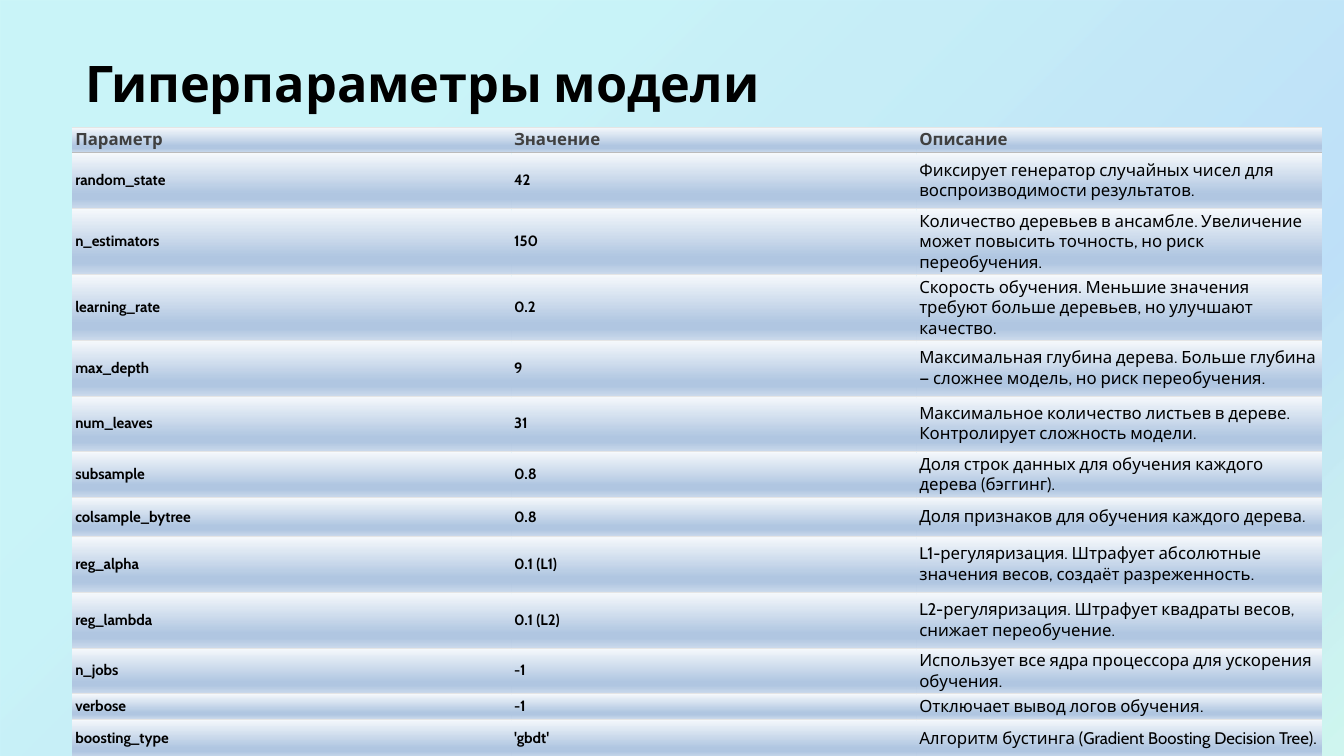
from dataclasses import dataclass

from lxml.etree import SubElement
from pptx import Presentation
from pptx.dml.color import RGBColor
from pptx.enum.shapes import MSO_SHAPE
from pptx.enum.text import MSO_ANCHOR, MSO_AUTO_SIZE
from pptx.oxml.ns import qn
from pptx.util import Inches, Pt


@dataclass(frozen=True)
class Theme:
    font: str = "Cabin"
    title_size: int = 54
    text_size: int = 18
    value_size: int = 16
    ink: str = "000000"
    header_ink: str = "404040"
    header_line: str = "BBBBBB"
    row_line: str = "E5E5E5"
    line_width: float = 0.48
    # Gradient stops: position %, colour, opacity %
    backdrop: tuple = ((25, "21D6E0", 23), (75, "0087E6", 25),
                       (100, "03D4A8", 18), (100, "005CBF", 26))
    cell: tuple = ((0, "F6F9FC", 100), (74, "B0C6E1", 100),
                   (83, "B0C6E1", 100), (100, "CAD9EB", 100))


THEME = Theme()
SLIDE_W, SLIDE_H = 20, 11.25
LEFT, CONTENT_W = 1.07, 18.6
COLUMN_WIDTHS = (6.54, 6.03, 6.03)
LOW, MID, HIGH = 0.34, 0.58, 0.83

HEADER = ("Параметр", "Значение", "Описание")
# Row height, parameter, value, description
PARAMETERS = [
    (HIGH, "random_state", "42",
     "Фиксирует генератор случайных чисел для воспроизводимости результатов."),
    (HIGH, "n_estimators", "150",
     "Количество деревьев в ансамбле. Увеличение может повысить точность, но риск переобучения."),
    (HIGH, "learning_rate", "0.2",
     "Скорость обучения. Меньшие значения требуют больше деревьев, но улучшают качество."),
    (HIGH, "max_depth", "9",
     "Максимальная глубина дерева. Больше глубина — сложнее модель, но риск переобучения."),
    (HIGH, "num_leaves", "31",
     "Максимальное количество листьев в дереве. Контролирует сложность модели."),
    (MID, "subsample", "0.8", "Доля строк данных для обучения каждого дерева (бэггинг)."),
    (MID, "colsample_bytree", "0.8", "Доля признаков для обучения каждого дерева."),
    (HIGH, "reg_alpha", "0.1 (L1)",
     "L1-регуляризация. Штрафует абсолютные значения весов, создаёт разреженность."),
    (HIGH, "reg_lambda", "0.1 (L2)",
     "L2-регуляризация. Штрафует квадраты весов, снижает переобучение."),
    (MID, "n_jobs", "-1", "Использует все ядра процессора для ускорения обучения."),
    (LOW, "verbose", "-1", "Отключает вывод логов обучения."),
    (MID, "boosting_type", "'gbdt'", "Алгоритм бустинга (Gradient Boosting Decision Tree)."),
]


def add_gradient(parent, stops, angle):
    grad = SubElement(parent, qn("a:gradFill"), rotWithShape="1")
    stop_list = SubElement(grad, qn("a:gsLst"))
    for position, color, opacity in stops:
        stop = SubElement(stop_list, qn("a:gs"), pos=str(position * 1000))
        rgb = SubElement(stop, qn("a:srgbClr"), val=color)
        if opacity < 100:
            SubElement(rgb, qn("a:alpha"), val=str(opacity * 1000))
    SubElement(grad, qn("a:lin"), ang=str(angle * 60000), scaled="0")


def add_border(tc_pr, side, color=None):
    ln = SubElement(tc_pr, qn(f"a:ln{side}"), w=str(Pt(THEME.line_width)))
    if color:
        fill = SubElement(ln, qn("a:solidFill"))
        SubElement(fill, qn("a:srgbClr"), val=color)
    else:
        SubElement(ln, qn("a:noFill"))


def write(tf, text, size, color, bold):
    p = tf.paragraphs[0]
    p.text = text
    font = p.font
    font.name, font.size, font.bold = THEME.font, Pt(size), bold
    font.color.rgb = RGBColor.from_string(color)


def add_backdrop(slide):
    s = slide.shapes.add_shape(MSO_SHAPE.RECTANGLE, 0, 0, Inches(SLIDE_W), Inches(11.5))
    add_gradient(s.element.spPr, THEME.backdrop, 45)
    s.line.fill.background()
    s.shadow.inherit = False


def add_title(slide, text):
    s = slide.shapes.add_textbox(Inches(LEFT), Inches(0.58), Inches(CONTENT_W), Inches(1.31))
    tf = s.text_frame
    tf.word_wrap = True
    tf.auto_size = MSO_AUTO_SIZE.SHAPE_TO_FIT_TEXT
    tf.margin_left = tf.margin_right = tf.margin_top = tf.margin_bottom = Inches(0.2)
    write(tf, text, THEME.title_size, THEME.ink, True)


def format_cell(cell, text, row, col):
    cell.vertical_anchor = MSO_ANCHOR.MIDDLE
    cell.margin_left = Inches(0.05 if col == 0 else 0.04)
    cell.margin_right = cell.margin_top = cell.margin_bottom = Inches(0.04)

    # Header and descriptions are larger; only descriptions are regular weight
    is_header, is_description = row == 0, col == 2 and row > 0
    size = THEME.text_size if is_header or is_description else THEME.value_size
    color = THEME.header_ink if is_header else THEME.ink
    write(cell.text_frame, text, size, color, not is_description)

    # Horizontal rules only, darker under the header
    tc_pr = cell._tc.get_or_add_tcPr()
    add_border(tc_pr, "L")
    add_border(tc_pr, "R")
    add_border(tc_pr, "T", THEME.header_line if row == 1 else THEME.row_line)
    add_border(tc_pr, "B", THEME.header_line if row == 0 else THEME.row_line)
    add_gradient(tc_pr, THEME.cell, 90)


def add_parameter_table(slide):
    rows = [(LOW, *HEADER), *PARAMETERS]
    height = sum(row[0] for row in rows)
    table = slide.shapes.add_table(len(rows), len(HEADER), Inches(LEFT), Inches(1.89),
                                   Inches(CONTENT_W), Inches(height)).table
    table.first_row = table.horz_banding = False
    for column, width in zip(table.columns, COLUMN_WIDTHS):
        column.width = Inches(width)
    for r, (row_height, *texts) in enumerate(rows):
        table.rows[r].height = Inches(row_height)
        for c, text in enumerate(texts):
            format_cell(table.cell(r, c), text, r, c)


def main():
    prs = Presentation()
    prs.slide_width, prs.slide_height = Inches(SLIDE_W), Inches(SLIDE_H)
    slide = prs.slides.add_slide(prs.slide_layouts[6])
    add_backdrop(slide)
    add_title(slide, "Гиперпараметры модели")
    add_parameter_table(slide)
    prs.save("out.pptx")


if __name__ == "__main__":
    main()
